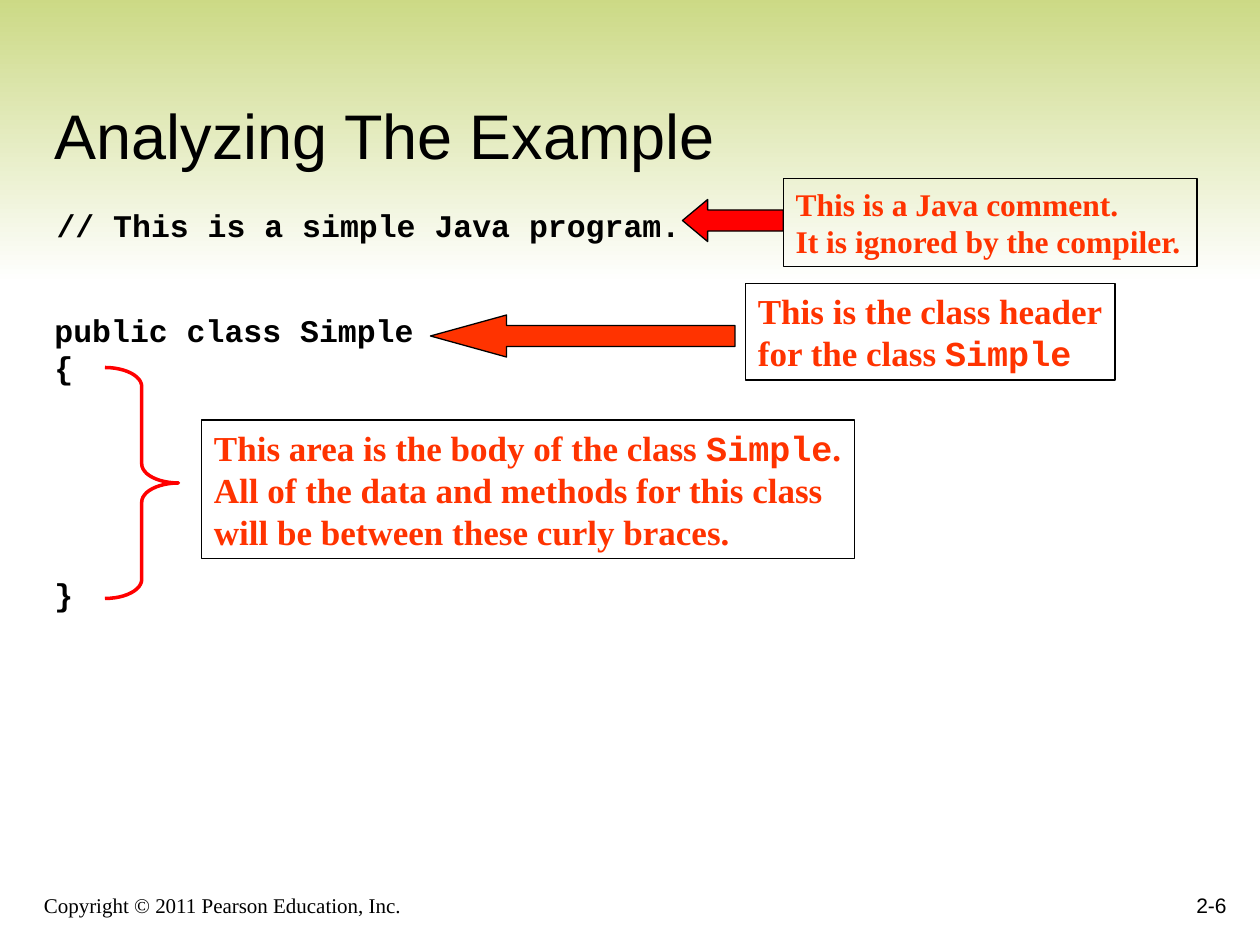
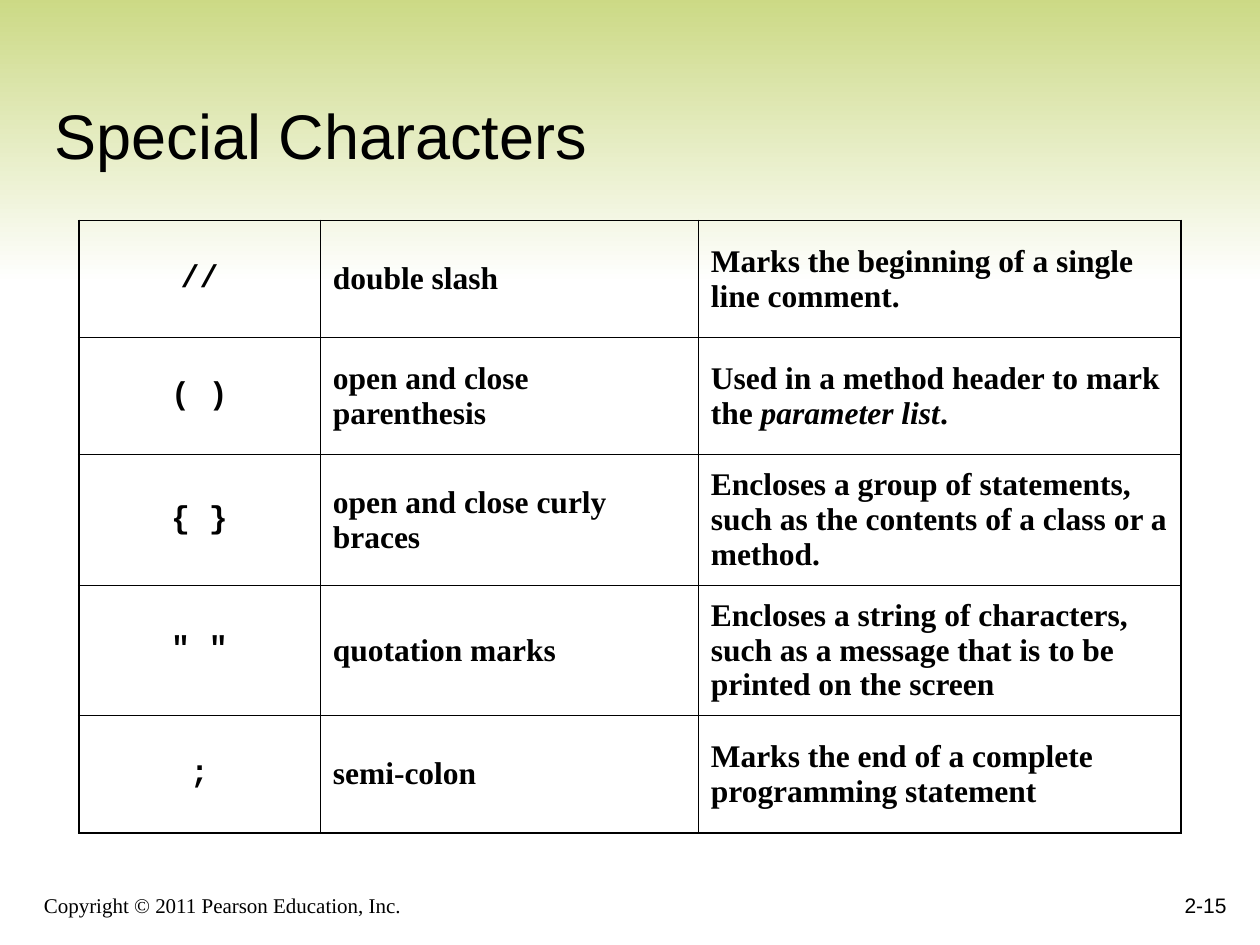
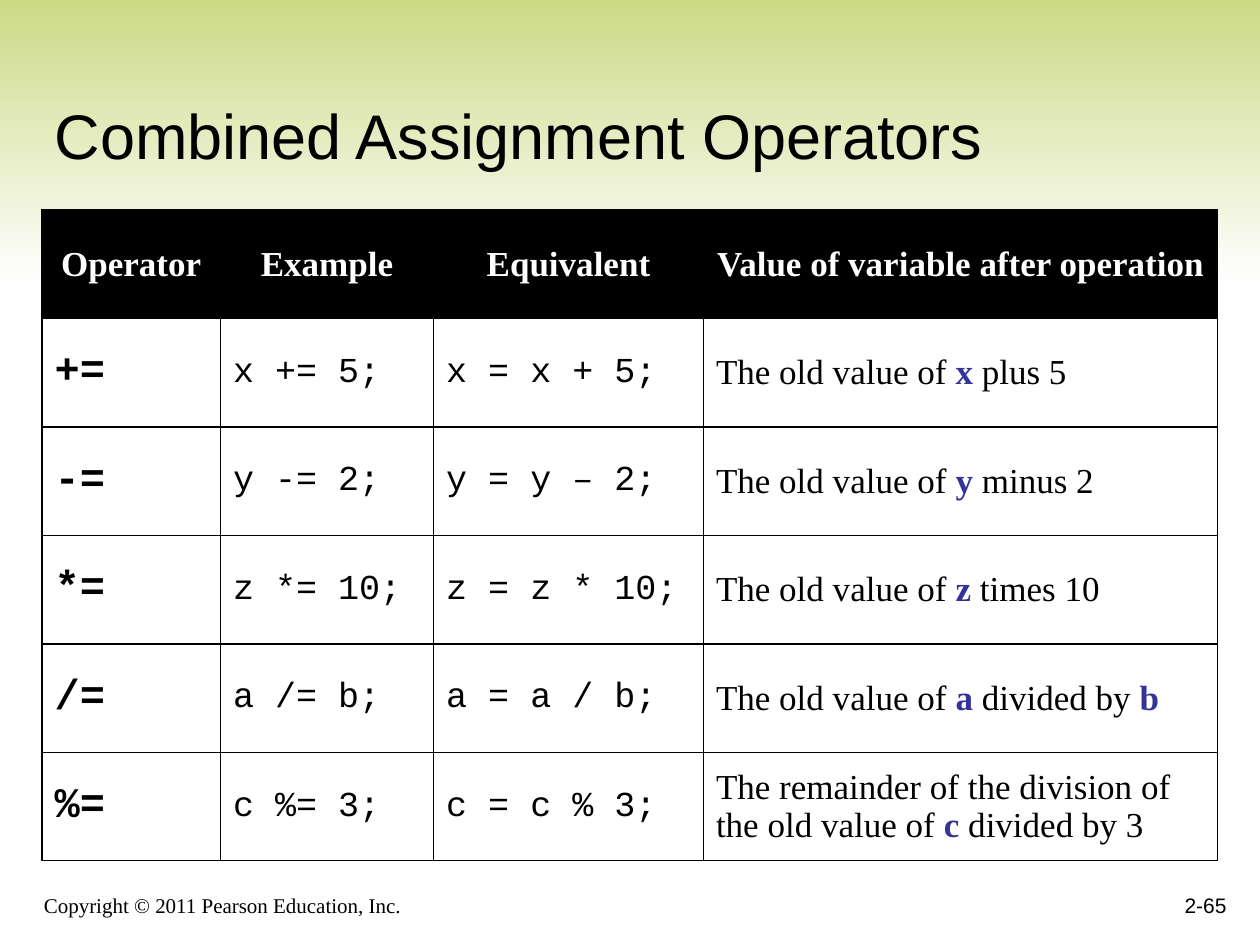
import pptx
import pptx.dml.color
import pptx.enum.shapes
import pptx.enum.text
import pptx.oxml
import pptx.oxml.ns
import pptx.util

COLUMNS, ROWS = 120, 90
SERIF, SANS, MONO = "Times New Roman", "Arial", "Courier New"
BLACK, WHITE = "000000", "FFFFFF"
RED, ORANGE, BLUE, GREEN = "FF0000", "FF3300", "333399", "CAD881"
SHAPES = pptx.enum.shapes.MSO_SHAPE
ANCHOR = pptx.enum.text.MSO_ANCHOR
ALIGN = pptx.enum.text.PP_ALIGN

SMALL = {"font": SERIF, "size": 12}
NUMBER = {"font": SANS, "size": 12, "align": ALIGN.RIGHT}
TITLE = {"font": SANS, "size": 36, "align": ALIGN.LEFT}
CODE = {"font": MONO, "size": 18, "bold": True, "leading": 1.2}
NOTE = {"font": SERIF, "size": 20, "bold": True, "color": ORANGE, "leading": 1.2}
SMALL_NOTE = {**NOTE, "size": 18}
SYMBOL = {"font": MONO, "size": 18, "bold": True, "align": ALIGN.CENTER}
MEANING = {"font": SERIF, "size": 18, "bold": True}
HEADER = {"font": SERIF, "size": 20, "bold": True, "color": WHITE, "align": ALIGN.CENTER}
OPERATOR = {"font": MONO, "size": 24, "bold": True}
EXAMPLE = {"font": MONO, "size": 20}
RESULT = {"font": SERIF, "size": 20}
CLASS_NAME = ("Simple", {"font": MONO})


def rgb(value):
    return pptx.dml.color.RGBColor.from_string(value)


def variable(name):
    return (name, {"color": BLUE, "bold": True})


class Lesson:
    """Holds the deck, its shared style and the slide being filled."""

    def __init__(self):
        self.deck = pptx.Presentation()
        self.deck.slide_width = pptx.util.Inches(10)
        self.deck.slide_height = pptx.util.Inches(7.5)
        self.page = None

    def across(self, columns):
        return round(self.deck.slide_width * columns / COLUMNS)

    def down(self, rows):
        return round(self.deck.slide_height * rows / ROWS)

    def area(self, left, top, width, height):
        return self.across(left), self.down(top), self.across(width), self.down(height)

    def new_page(self, title, number):
        self.page = self.deck.slides.add_slide(self.deck.slide_layouts[5])
        heading = self.page.shapes.title
        heading.left, heading.top, heading.width, heading.height = self.area(4, 4, 113, 13)
        heading.text_frame.auto_size = pptx.enum.text.MSO_AUTO_SIZE.NONE
        heading.text_frame.vertical_anchor = ANCHOR.BOTTOM
        self.set_lines(heading.text_frame, [title], TITLE)
        band = self.shape(SHAPES.RECTANGLE, (0, -1, COLUMNS, 28), line=None)
        band.fill.gradient()
        band.fill.gradient_angle = 270
        for stop, color, position in zip(band.fill.gradient_stops, (GREEN, WHITE), (0, 1)):
            stop.color.rgb = rgb(color)
            stop.position = position
        heading.element.addprevious(band.element)
        copyright_line = "Copyright © 2011 Pearson Education, Inc."
        self.text((3, 83, 73, 5), [copyright_line], SMALL, ANCHOR.BOTTOM)
        self.text((93, 82, 25, 6), [number], NUMBER, ANCHOR.BOTTOM)

    def set_lines(self, frame, lines, style):
        for index, line in enumerate(lines):
            para = frame.paragraphs[0] if index == 0 else frame.add_paragraph()
            para.alignment = style.get("align", ALIGN.LEFT)
            if "leading" in style:
                para.line_spacing = pptx.util.Pt(style["size"] * style["leading"])
            for part in [line] if isinstance(line, str) else line:
                words, change = (part, {}) if isinstance(part, str) else part
                look = {**style, **change}
                span = para.add_run()
                span.text = words
                span.font.name = look["font"]
                span.font.size = pptx.util.Pt(look["size"])
                span.font.bold = look.get("bold", False)
                span.font.italic = look.get("italic", False)
                span.font.color.rgb = rgb(look.get("color", BLACK))

    def text(self, place, lines, style, anchor=ANCHOR.TOP, wrap=True):
        box = self.page.shapes.add_textbox(*self.area(*place))
        box.text_frame.word_wrap = wrap
        box.text_frame.vertical_anchor = anchor
        self.set_lines(box.text_frame, lines, style)
        return box

    def shape(self, kind, place, fill=None, line=BLACK, weight=0.75, adjust=()):
        figure = self.page.shapes.add_shape(kind, *self.area(*place))
        figure.shadow.inherit = False
        for index, value in enumerate(adjust):
            figure.adjustments[index] = value
        if fill:
            figure.fill.solid()
            figure.fill.fore_color.rgb = rgb(fill)
        else:
            figure.fill.background()
        if line:
            figure.line.color.rgb = rgb(line)
            figure.line.width = pptx.util.Pt(weight)
        else:
            figure.line.fill.background()
        return figure

    def callout(self, place, lines, style):
        box = self.shape(SHAPES.RECTANGLE, place)
        box.text_frame.word_wrap = False
        box.text_frame.vertical_anchor = ANCHOR.TOP
        self.set_lines(box.text_frame, lines, style)

    def borders(self, cell, weights):
        properties = cell._tc.get_or_add_tcPr()
        for index, (side, weight) in enumerate(zip("LRTB", weights)):
            properties.insert(index, pptx.oxml.parse_xml(
                f'<a:ln{side} {pptx.oxml.ns.nsdecls("a")} w="{pptx.util.Pt(weight)}">'
                f'<a:solidFill><a:srgbClr val="{BLACK}"/></a:solidFill></a:ln{side}>'))

    def table(self, left, top, widths, heights, rows, styles, outer, inner, header=False):
        place = self.area(left, top, sum(widths), sum(heights))
        grid = self.page.shapes.add_table(len(rows), len(widths), *place).table
        grid.first_row = header
        grid.horz_banding = False
        for column, width in zip(grid.columns, widths):
            column.width = self.across(width)
        for row, height in zip(grid.rows, heights):
            row.height = self.down(height)
        last_row, last_column = len(rows) - 1, len(widths) - 1
        for r, row in enumerate(rows):
            is_header = header and r == 0
            for c, content in enumerate(row):
                cell = grid.cell(r, c)
                cell.vertical_anchor = ANCHOR.MIDDLE
                if is_header:
                    cell.fill.solid()
                    cell.fill.fore_color.rgb = rgb(BLACK)
                else:
                    cell.fill.background()
                self.set_lines(cell.text_frame, [content], HEADER if is_header else styles[c])
                edges = (c == 0, c == last_column, r == 0, r == last_row)
                self.borders(cell, [outer if edge else inner for edge in edges])


def analyzing_the_example(lesson):
    lesson.new_page("Analyzing The Example", "2-6")
    code = lesson.text((4, 29, 39, 30), ["public class Simple", "{", "}"], CODE)
    empty_body = 5 * CODE["size"] * CODE["leading"]
    code.text_frame.paragraphs[2].space_before = pptx.util.Pt(empty_body)
    lesson.callout((19.2, 40, 62.2, 13.2), [
        ["This area is the body of the class ", CLASS_NAME, "."],
        "All of the data and methods for this class",
        "will be between these curly braces."], NOTE)
    lesson.shape(SHAPES.RIGHT_BRACE, (10, 35, 7, 22), line=RED, weight=2, adjust=(0.26, 0.5))
    lesson.text((4.2, 19, 61.8, 4.8), ["// This is a simple Java program."], CODE, wrap=False)
    lesson.callout((74.6, 17, 39.4, 8.4), [
        "This is a Java comment.", "It is ignored by the compiler."], SMALL_NOTE)
    lesson.shape(SHAPES.LEFT_ARROW, (65, 19, 9.6, 4), fill=RED, adjust=(0.5, 0.6))
    lesson.callout((71, 27, 35.2, 9.2), [
        "This is the class header", ["for the class ", CLASS_NAME]], NOTE)
    lesson.shape(SHAPES.LEFT_ARROW, (41, 30, 29, 4), fill=ORANGE, adjust=(0.5, 1.81))


def special_characters(lesson):
    lesson.new_page("Special Characters", "2-15")
    two_lines, three_lines = 11.15, 12.43
    rows = [
        ("//", "double slash", "Marks the beginning of a single line comment."),
        ("( )", "open and close parenthesis",
         ["Used in a method header to mark the ", ("parameter list", {"italic": True}), "."]),
        ("{ }", "open and close curly braces",
         "Encloses a group of statements, such as the contents of a class or a method."),
        ('" "', "quotation marks",
         "Encloses a string of characters, such as a message that is to be printed on the screen"),
        (";", "semi-colon", "Marks the end of a complete programming statement"),
    ]
    heights = [two_lines, two_lines, three_lines, three_lines, two_lines]
    lesson.table(7.5, 21, [23, 36, 46], heights, rows, [SYMBOL, MEANING, MEANING],
                 outer=1.08, inner=0.45)


def combined_assignment_operators(lesson):
    lesson.new_page("Combined Assignment Operators", "2-65")
    old = "The old value of "
    rows = [
        ("Operator", "Example", "Equivalent", "Value of variable after operation"),
        ("+=", "x += 5;", "x = x + 5;", [old, variable("x"), " plus 5"]),
        ("-=", "y -= 2;", "y = y – 2;", [old, variable("y"), " minus 2"]),
        ("*=", "z *= 10;", "z = z * 10;", [old, variable("z"), " times 10"]),
        ("/=", "a /= b;", "a = a / b;", [old, variable("a"), " divided by ", variable("b")]),
        ("%=", "c %= 3;", "c = c % 3;",
         ["The remainder of the division of the old value of ", variable("c"), " divided by 3"]),
    ]
    heights = [62 / len(rows)] * len(rows)
    lesson.table(4, 20, [17, 20.3, 25.7, 49], heights, rows,
                 [OPERATOR, EXAMPLE, EXAMPLE, RESULT], outer=0.75, inner=0.75, header=True)


def main():
    lesson = Lesson()
    analyzing_the_example(lesson)
    special_characters(lesson)
    combined_assignment_operators(lesson)
    lesson.deck.save("out.pptx")


if __name__ == "__main__":
    main()
